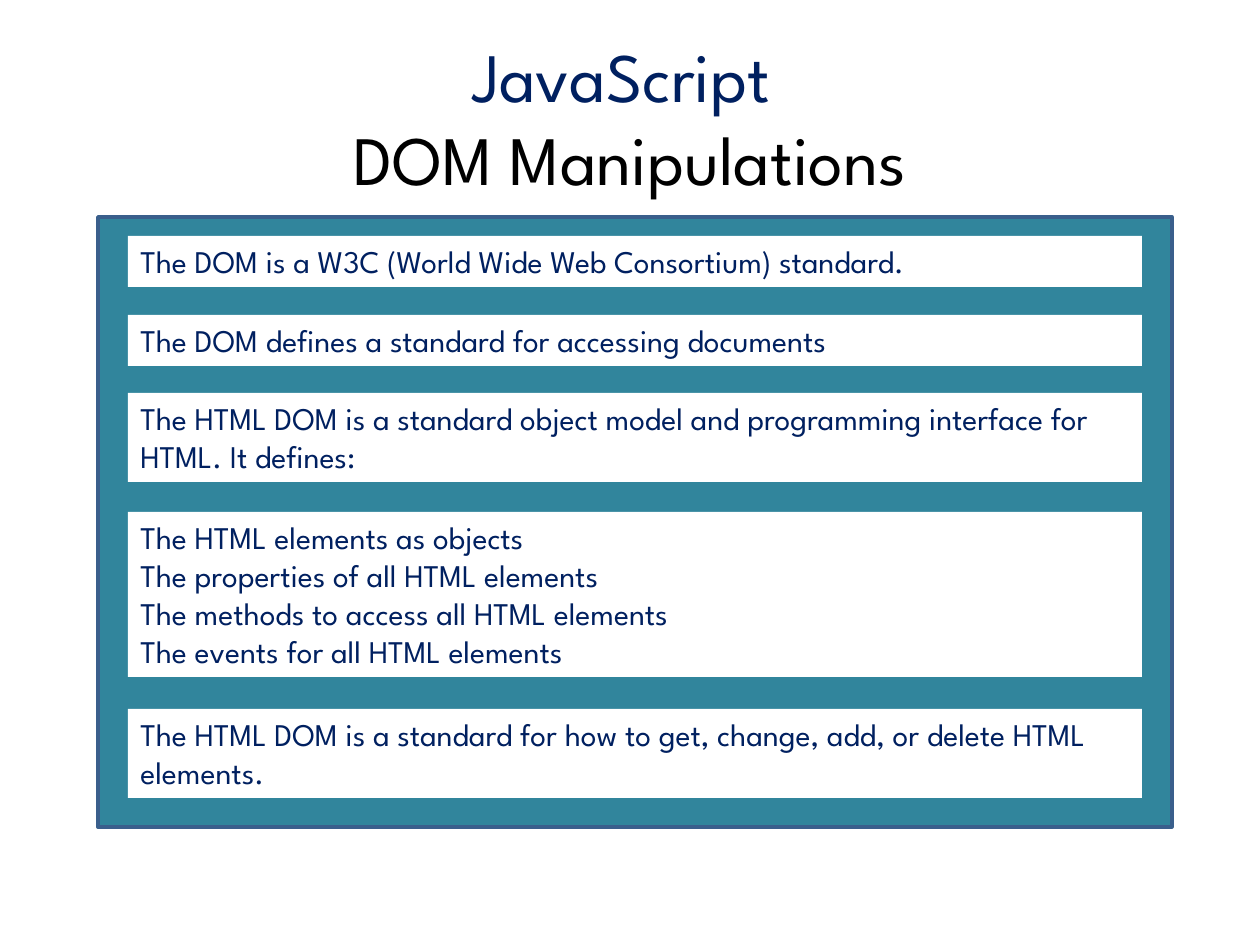
from pptx import Presentation
from pptx.dml.color import RGBColor
from pptx.enum.shapes import MSO_SHAPE
from pptx.enum.text import MSO_ANCHOR, MSO_AUTO_SIZE, PP_ALIGN
from pptx.util import Inches, Pt

NAVY = RGBColor(0x00, 0x20, 0x60)
BLACK = RGBColor(0x00, 0x00, 0x00)
WHITE = RGBColor(0xFF, 0xFF, 0xFF)
TEAL = RGBColor(0x31, 0x85, 0x9C)
BLUE = RGBColor(0x3A, 0x5F, 0x8C)

LEFT, WIDTH = 128, 1014
CARDS = [  # top, height, lines
    (236, 51, ["The DOM is a W3C (World Wide Web Consortium) standard."]),
    (315, 51, ["The DOM defines a standard for accessing documents"]),
    (393, 89, ["The HTML DOM is a standard object model and programming "
               "interface for HTML. It defines:"]),
    (512, 165, ["The HTML elements as objects",
                "The properties of all HTML elements",
                "The methods to access all HTML elements",
                "The events for all HTML elements"]),
    (709, 89, ["The HTML DOM is a standard for how to get, change, add, "
               "or delete HTML elements."]),
]


class Deck:
    font = "League Spartan"
    scale = Inches(1) / 126

    def __init__(self, slide):
        self.slide = slide

    def emu(self, *sizes):
        return [round(size * self.scale) for size in sizes]

    def style(self, run, size, color):
        run.font.name = self.font
        run.font.size = Pt(size)
        run.font.color.rgb = color

    def title(self, box, lines, colors):
        frame = self.slide.shapes.add_textbox(*self.emu(*box)).text_frame
        frame.word_wrap = True
        frame.vertical_anchor = MSO_ANCHOR.MIDDLE
        para = frame.paragraphs[0]
        para.text = "\v".join(lines)
        para.alignment = PP_ALIGN.CENTER
        for run, color in zip(para.runs, colors):
            self.style(run, 39.6, color)

    def panel(self, box, fill, line=None):
        shape = self.slide.shapes.add_shape(MSO_SHAPE.RECTANGLE, *self.emu(*box))
        shape.shadow.inherit = False
        shape.fill.solid()
        shape.fill.fore_color.rgb = fill
        if line is None:
            shape.line.fill.background()
        else:
            shape.line.color.rgb = line
            shape.line.width = Pt(2)
        return shape

    def card(self, box, lines):
        frame = self.panel(box, WHITE).text_frame
        frame.text = "\n".join(lines)
        frame.word_wrap = True
        frame.auto_size = MSO_AUTO_SIZE.SHAPE_TO_FIT_TEXT
        frame.vertical_anchor = MSO_ANCHOR.TOP
        for para in frame.paragraphs:
            para.alignment = PP_ALIGN.LEFT
            self.style(para.runs[0], 18, NAVY)


def main():
    prs = Presentation()
    prs.slide_width, prs.slide_height = Inches(10), Inches(7.5)
    deck = Deck(prs.slides.add_slide(prs.slide_layouts[6]))

    # Heading
    deck.title((63, 38, 1134, 157), ["JavaScript ", "DOM Manipulations"],
               [NAVY, BLACK])

    # Teal panel with its cards
    deck.panel((98, 217, 1074, 610), TEAL, BLUE)
    for top, height, lines in CARDS:
        deck.card((LEFT, top, WIDTH, height), lines)

    prs.save("out.pptx")


if __name__ == "__main__":
    main()
